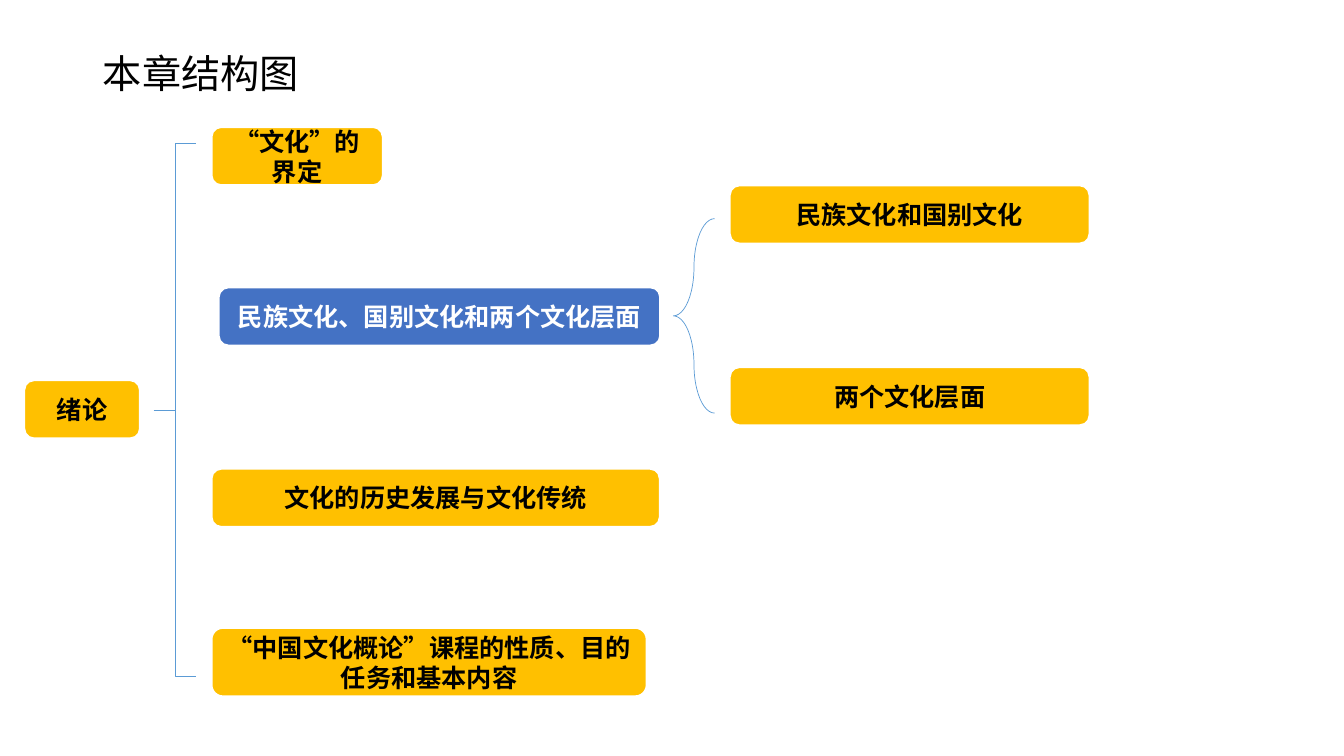
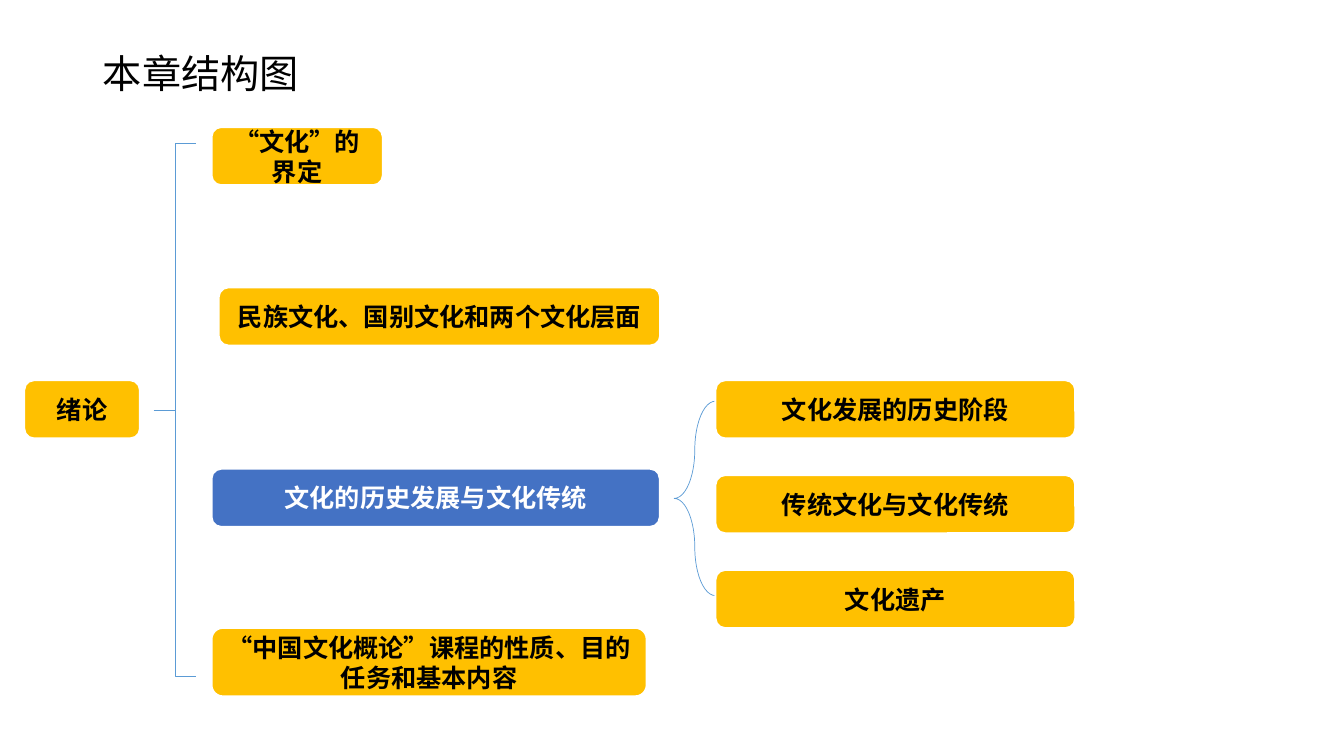
"""Two chapter maps, each opening one topic of the same tree."""
from dataclasses import dataclass

from lxml.etree import SubElement
from pptx import Presentation
from pptx.dml.color import RGBColor
from pptx.enum.lang import MSO_LANGUAGE_ID
from pptx.enum.shapes import MSO_SHAPE
from pptx.enum.text import MSO_ANCHOR, PP_ALIGN
from pptx.oxml.ns import qn
from pptx.slide import Slide
from pptx.text.text import TextFrame
from pptx.util import Cm, Pt


@dataclass(frozen=True)
class Theme:
    font: str = "Noto Sans CJK SC"
    gold: RGBColor = RGBColor(0xFF, 0xC0, 0x00)
    blue: RGBColor = RGBColor(0x44, 0x72, 0xC4)
    rule: RGBColor = RGBColor(0x5B, 0x9B, 0xD5)
    black: RGBColor = RGBColor(0, 0, 0)
    white: RGBColor = RGBColor(0xFF, 0xFF, 0xFF)
    head: Pt = Pt(28)
    body: Pt = Pt(18)
    edge: Pt = Pt(1.5)
    thin: Pt = Pt(0.5)


@dataclass(frozen=True)
class Node:
    text: str
    left: float
    top: float
    width: float
    height: float = 1.47


@dataclass(frozen=True)
class Brace:
    left: float
    top: float
    height: float
    curve: float
    width: float = 1.04


@dataclass(frozen=True)
class Branch:
    topic: int
    brace: Brace
    left: float
    top: float
    step: float
    leaves: tuple[str, ...]


THEME = Theme()
TITLE = Node("本章结构图", 2.34, 1.02, 8.36, 1.8)
ROOT = Node("绪论", 0.61, 9.58, 2.92)
TRUNK = Brace(3.89, 3.61, 13.44, 0)
TOPICS = (
    Node("“文化”的界定", 5.33, 3.2, 4.32),
    Node("民族文化、国别文化和两个文化层面", 5.51, 7.24, 11.13),
    Node("文化的历史发展与文化传统", 5.33, 11.81, 11.3),
    Node("“中国文化概论”课程的性质、目的任务和基本内容", 5.33, 15.82, 10.97, 1.73),
)
LEAF = 9.07
MAPS = (
    Branch(1, Brace(16.97, 5.51, 4.9, 3.25), 18.39, 4.67, 4.58,
           ("民族文化和国别文化", "两个文化层面")),
    Branch(2, Brace(16.99, 10.11, 4.9, 3.25), 18.03, 9.58, 2.39,
           ("文化发展的历史阶段", "传统文化与文化传统", "文化遗产")),
)


def place(item: Node | Brace) -> tuple[Cm, Cm, Cm, Cm]:
    """Return the frame of an item as lengths."""
    return Cm(item.left), Cm(item.top), Cm(item.width), Cm(item.height)


def write(frame: TextFrame, text: str, size: Pt, color: RGBColor,
          align: PP_ALIGN, bold: bool) -> None:
    """Fill a frame with one styled paragraph."""
    frame.text = text
    frame.word_wrap = True
    frame.vertical_anchor = MSO_ANCHOR.MIDDLE
    para = frame.paragraphs[0]
    para.alignment = align
    for run in para.runs:
        font = run.font
        font.size, font.bold, font.name = size, bold, THEME.font
        font.color.rgb = color
        font.language_id = MSO_LANGUAGE_ID.SIMPLIFIED_CHINESE
        SubElement(run._r.get_or_add_rPr(), qn("a:ea"), typeface=THEME.font)


def draw_title(slide: Slide) -> None:
    """Move and style the title."""
    title = slide.shapes.title
    title.left, title.top, title.width, title.height = place(TITLE)
    write(title.text_frame, TITLE.text, THEME.head, THEME.black, PP_ALIGN.LEFT, False)
    title.text_frame.paragraphs[0].line_spacing = 0.9


def draw_node(slide: Slide, node: Node, lit: bool = False) -> None:
    """Draw a rounded box, blue when it is the open topic."""
    box = slide.shapes.add_shape(MSO_SHAPE.ROUNDED_RECTANGLE, *place(node))
    box.shadow.inherit = False
    box.fill.solid()
    box.fill.fore_color.rgb = THEME.blue if lit else THEME.gold
    box.line.color.rgb = THEME.white
    box.line.width = THEME.edge
    ink = THEME.white if lit else THEME.black
    write(box.text_frame, node.text, THEME.body, ink, PP_ALIGN.CENTER, True)


def draw_brace(slide: Slide, brace: Brace) -> None:
    """Draw a thin left brace."""
    shape = slide.shapes.add_shape(MSO_SHAPE.LEFT_BRACE, *place(brace))
    shape.shadow.inherit = False
    shape.adjustments[0] = brace.curve
    shape.fill.background()
    shape.line.color.rgb = THEME.rule
    shape.line.width = THEME.thin


def draw_map(slide: Slide, branch: Branch) -> None:
    """Draw the shared tree and the leaves of one branch."""
    draw_title(slide)
    draw_node(slide, ROOT)
    draw_brace(slide, TRUNK)
    for index, topic in enumerate(TOPICS):
        draw_node(slide, topic, index == branch.topic)
    draw_brace(slide, branch.brace)
    for row, text in enumerate(branch.leaves):
        draw_node(slide, Node(text, branch.left, branch.top + row * branch.step, LEAF))


def main() -> None:
    """Build and save the deck."""
    deck = Presentation()
    deck.slide_width, deck.slide_height = Cm(33.87), Cm(19.05)
    layout = deck.slide_layouts.get_by_name("Title Only")
    for branch in MAPS:
        draw_map(deck.slides.add_slide(layout), branch)
    deck.save("out.pptx")


if __name__ == "__main__":
    main()
